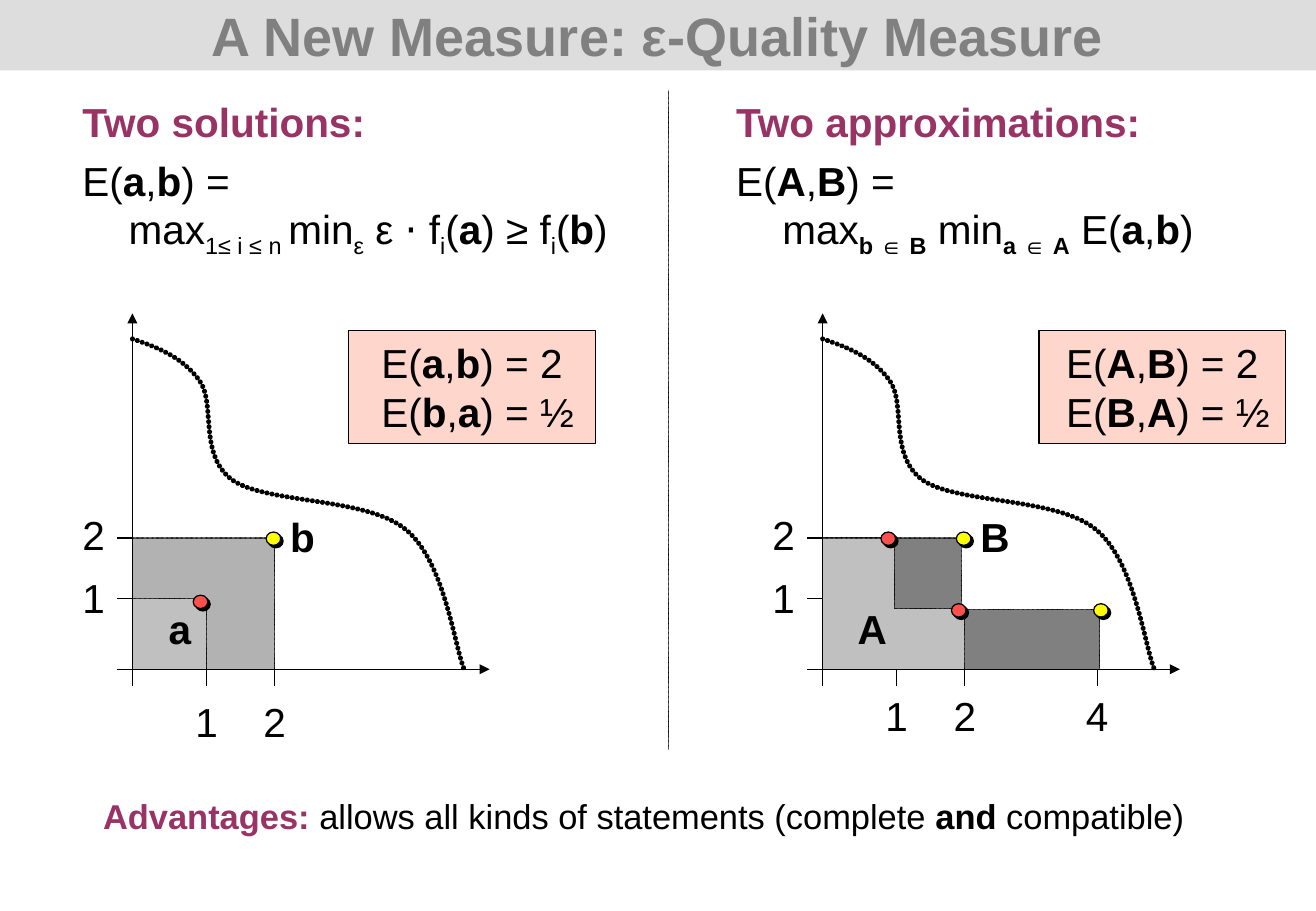
from lxml.etree import SubElement
from pptx import Presentation
from pptx.dml.color import RGBColor
from pptx.enum.dml import MSO_LINE
from pptx.enum.shapes import MSO_CONNECTOR, MSO_SHAPE
from pptx.enum.text import MSO_ANCHOR, PP_ALIGN
from pptx.oxml.ns import qn
from pptx.util import Inches, Pt

COLORS = {
    "black": "000000", "bar": "DDDDDD", "title": "808080", "accent": "993366",
    "result": "FF3300", "red": "FF5050", "yellow": "FFFF00",
    "light": "C0C0C0", "middle": "B2B2B2", "dark": "808080",
}
AXIS_TOP, AXIS_BOTTOM = 2.58, 5.51
Y_TICKS = {"2": (4.43, 4.15), "1": (4.93, 4.67)}
FRONT_START = (0, 2.79)
FRONT_CURVES = [
    ((0.21, 2.86), (0.41, 2.94), (0.55, 3.13)),
    ((0.69, 3.32), (0.54, 3.74), (0.82, 3.95)),
    ((1.10, 4.15), (1.93, 4.09), (2.25, 4.36)),
    ((2.57, 4.62), (2.65, 5.32), (2.73, 5.51)),
]


def rgb(name):
    """Return the named colour."""
    return RGBColor.from_string(COLORS[name])


def write_text(box, *lines, size=24, color="black", bold=False, align=PP_ALIGN.LEFT,
               hanging=0, wrap=True, anchor=MSO_ANCHOR.TOP):
    """Write paragraphs in which * toggles bold, _ subscript and # bold accent."""
    frame = box.text_frame
    frame.word_wrap = wrap
    frame.vertical_anchor = anchor
    for index, line in enumerate(lines):
        para = frame.paragraphs[0] if index == 0 else frame.add_paragraph()
        para.alignment = align
        para.space_before = Pt(6 if index else 0)
        if hanging:
            properties = para._p.get_or_add_pPr()
            properties.set("marL", str(Inches(hanging)))
            properties.set("indent", str(-Inches(hanging)))
        marks = {"*": bold, "_": False, "#": False}
        piece = ""
        for letter in line + "\0":
            if letter not in "*_#\n\0":
                piece += letter
                continue
            if piece:
                span = para.add_run()
                span.text = piece
                font = span.font
                font.name, font.size = "Arial", Pt(size)
                font.bold = marks["*"] or marks["#"]
                font.color.rgb = rgb("accent" if marks["#"] else color)
                if marks["_"]:
                    font._element.set("baseline", "-25000")
                piece = ""
            if letter == "\n":
                para.add_line_break()
            elif letter in marks:
                marks[letter] = not marks[letter]


def add_text(page, left, top, width, height, *lines, **style):
    """Add a text box."""
    box = page.shapes.add_textbox(Inches(left), Inches(top), Inches(width), Inches(height))
    write_text(box, *lines, **style)


def add_label(page, center, top, text, **style):
    """Add a short label centred on a position."""
    add_text(page, center - 0.2, top, 0.4, 0.5, text, align=PP_ALIGN.CENTER, wrap=False, **style)


def draw_line(shape, width=0.75, dotted=False):
    """Set a black line, solid or of dense round dots."""
    shape.line.color.rgb = rgb("black")
    shape.line.width = Pt(width)
    if dotted:
        shape.line.dash_style = MSO_LINE.ROUND_DOT
        line = shape._element.spPr.find(qn("a:ln"))
        line.set("cap", "rnd")
        dash = line.find(qn("a:prstDash"))
        custom = SubElement(line, qn("a:custDash"))
        SubElement(custom, qn("a:ds"), d="100000", sp="1000")
        line.replace(dash, custom)


def paint(shape, fill, outline=True, dotted=False):
    """Set the fill and outline of a shape."""
    shape.shadow.inherit = False
    shape.fill.solid()
    shape.fill.fore_color.rgb = rgb(fill)
    if outline:
        draw_line(shape, dotted=dotted)
    else:
        shape.line.fill.background()


def add_preset(page, kind, left, top, width, height, fill, **style):
    """Add a painted preset shape."""
    shape = page.shapes.add_shape(kind, Inches(left), Inches(top), Inches(width), Inches(height))
    paint(shape, fill, **style)
    return shape


def add_line(page, start, end, arrow=False, dotted=False):
    """Add a straight line, with an arrowhead if asked."""
    points = [Inches(value) for value in (*start, *end)]
    line = page.shapes.add_connector(MSO_CONNECTOR.STRAIGHT, *points)
    draw_line(line, dotted=dotted)
    properties = line._element.spPr
    if arrow:
        SubElement(properties.find(qn("a:ln")), qn("a:tailEnd"), type="triangle")
    SubElement(properties, qn("a:effectLst"))


def add_outline(page, points, close):
    """Add a freeform through points given in inches."""
    start, *rest = [(Inches(x), Inches(y)) for x, y in points]
    builder = page.shapes.build_freeform(*start)
    builder.add_line_segments(rest, close=close)
    return builder.convert_to_shape()


def add_stairs(page, left, top, middle, step, right, fill):
    """Add the area below a two-step staircase."""
    points = [(left, top), (left + middle, top), (left + middle, step), (left + right, step),
              (left + right, AXIS_BOTTOM), (left, AXIS_BOTTOM)]
    paint(add_outline(page, points, True), fill, dotted=True)


def add_front(page, left):
    """Add the dotted front, bending each straight segment into a curve."""
    ends = [FRONT_START] + [points[-1] for points in FRONT_CURVES]
    front = add_outline(page, [(left + x, y) for x, y in ends], False)
    front.shadow.inherit = False
    front.fill.background()
    draw_line(front, width=3, dotted=True)
    segments = list(front._element.spPr.iter(qn("a:lnTo")))
    for segment, points in zip(segments, FRONT_CURVES):
        outline = segment.getparent()
        curve = SubElement(outline, qn("a:cubicBezTo"))
        for x, y in points:
            SubElement(curve, qn("a:pt"), x=str(Inches(x)), y=str(Inches(y - FRONT_START[1])))
        outline.replace(segment, curve)


def add_plot(page, left, x_ticks, label_top, dots, names, result):
    """Add axes, ticks, front, solutions and result box."""
    add_line(page, (left, 5.65), (left, AXIS_TOP), arrow=True)
    add_line(page, (left - 0.13, AXIS_BOTTOM), (left + 2.94, AXIS_BOTTOM), arrow=True)
    add_front(page, left)
    for text, offset in x_ticks.items():
        add_line(page, (left + offset, AXIS_BOTTOM), (left + offset, 5.65))
        add_label(page, left + offset, label_top, text)
    for text, (height, top) in Y_TICKS.items():
        add_line(page, (left, height), (left - 0.13, height))
        add_label(page, left - 0.32, top, text)
    for offset, top, fill in dots:
        for shift, color in ((0.02, "black"), (0, fill)):
            add_preset(page, MSO_SHAPE.OVAL, left + offset + shift, top + shift, 0.12, 0.11, color)
    for text, offset, top in zip(names, (0.39, 1.4), (4.92, 4.17)):
        add_label(page, left + offset, top, text, bold=True)
    box = add_preset(page, MSO_SHAPE.RECTANGLE, left + 1.78, 2.72, 2.03, 0.93, "result")
    color = box._element.spPr.find(qn("a:solidFill"))[0]
    SubElement(color, qn("a:alpha"), val="20000")
    write_text(box, result, align=PP_ALIGN.CENTER, wrap=False, anchor=MSO_ANCHOR.MIDDLE)


def main():
    """Build the slide and save it."""
    deck = Presentation()
    deck.slide_width, deck.slide_height = Inches(10.83), Inches(7.5)
    page = deck.slides.add_slide(deck.slide_layouts[6])
    bar = add_preset(page, MSO_SHAPE.RECTANGLE, 0, 0, 10.83, 0.58, "bar", outline=False)
    write_text(bar, "A New Measure: ε-Quality Measure", size=32, color="title", bold=True,
               align=PP_ALIGN.CENTER, anchor=MSO_ANCHOR.MIDDLE)
    add_text(page, 0.58, 0.75, 4.58, 6.33, "#Two solutions:#",
             "E(*a*,*b*) =\nmax_1≤ i ≤ n _min_ε_ ε ⋅ f_i_(*a*) ≥ f_i_(*b*)", hanging=0.38)
    add_text(page, 5.96, 0.75, 4.27, 6.33, "#Two approximations:#",
             "E(*A*,*B*) =\nmax_*b *∈ *B*_ min_*a *∈ *A*_ E(*a*,*b*)", hanging=0.38)

    left = 1.09
    for top, width, fill in ((4.43, 1.17, "middle"), (4.93, 0.61, "light")):
        add_preset(page, MSO_SHAPE.RECTANGLE, left, top, width, AXIS_BOTTOM - top, fill,
                   dotted=True)
    add_plot(page, left, {"1": 0.61, "2": 1.17}, 5.69,
             [(0.5, 4.9, "red"), (1.1, 4.38, "yellow")], "ab",
             "E(*a*,*b*) = 2\n E(*b*,*a*) = ½")

    left = 6.77
    add_stairs(page, left, 4.43, 1.14, 5.02, 2.28, "dark")
    add_stairs(page, left, 4.43, 0.59, 5.01, 1.17, "light")
    add_plot(page, left, {"1": 0.61, "2": 1.17, "4": 2.26}, 5.64,
             [(0.48, 4.38, "red"), (1.06, 4.97, "red"),
              (1.1, 4.38, "yellow"), (2.23, 4.97, "yellow")], "AB",
             "E(*A*,*B*) = 2\n E(*B*,*A*) = ½")

    add_line(page, (5.5, 0.75), (5.5, 6.17), dotted=True)
    add_text(page, 0.75, 6.5, 10.08, 0.75,
             "#Advantages:# allows all kinds of statements (complete *and* compatible)",
             size=20.4, hanging=0.38)
    deck.save("out.pptx")


if __name__ == "__main__":
    main()
